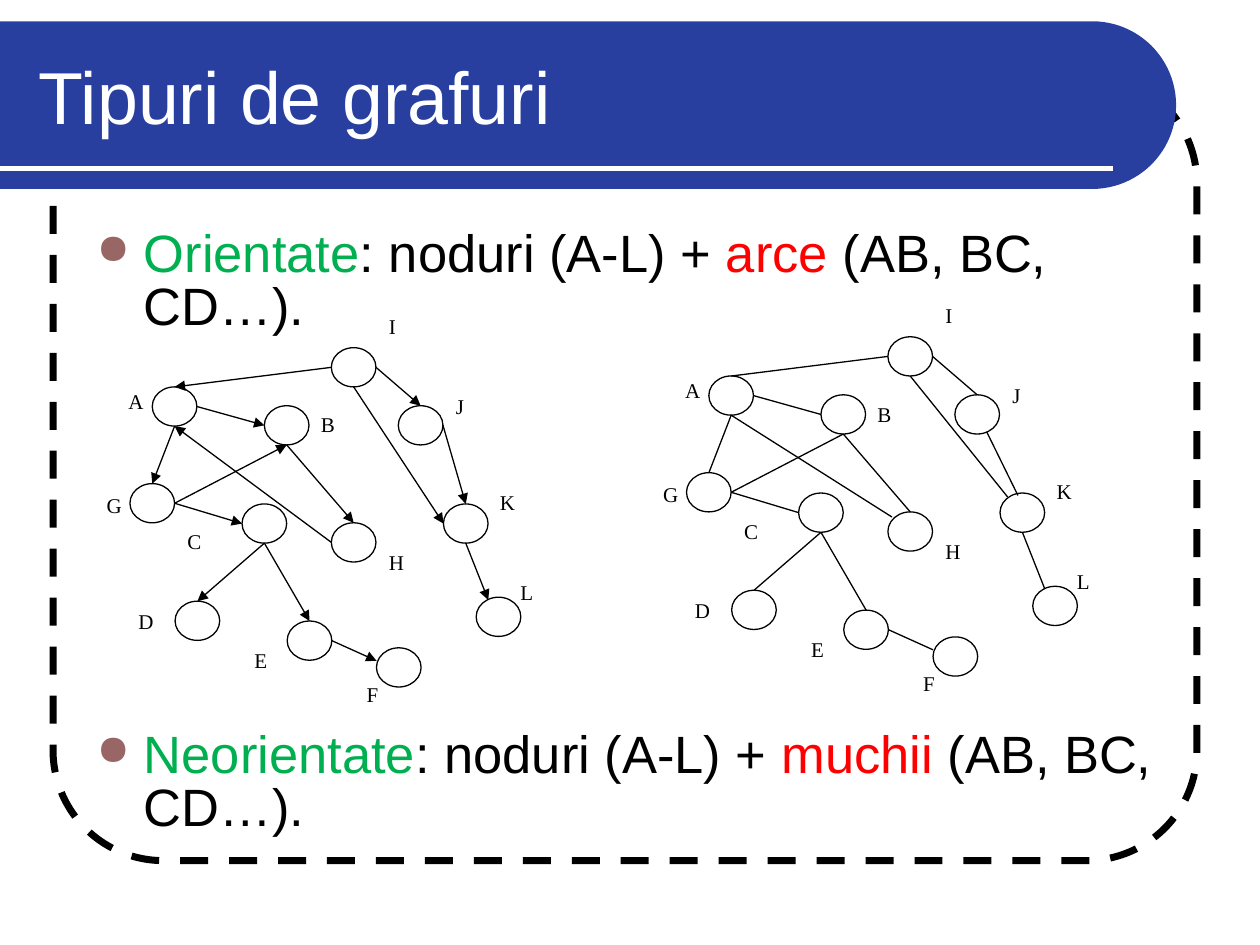
from math import cos, pi, sin
from lxml.etree import SubElement
from pptx import Presentation
from pptx.dml.color import RGBColor
from pptx.enum.dml import MSO_LINE
from pptx.enum.shapes import MSO_CONNECTOR as CONNECTOR, MSO_SHAPE as SHAPE
from pptx.enum.text import MSO_ANCHOR as ANCHOR
from pptx.oxml.ns import qn
from pptx.util import Cm, Pt

color = RGBColor.from_string


def set_values(target, values):
    for name, value in values.items():
        setattr(target, name, value)


def add_text(slide, box, paragraphs, font_values, anchor=ANCHOR.TOP):
    shape = slide.shapes.add_textbox(*map(Cm, box))
    frame = shape.text_frame
    set_values(frame, {"word_wrap": True, "vertical_anchor": anchor})
    for index, runs in enumerate(paragraphs):
        paragraph = frame.add_paragraph() if index else frame.paragraphs[0]
        for text, run_color in runs:
            run = paragraph.add_run()
            run.text = text
            set_values(run.font, font_values)
            run.font.color.rgb = color(run_color)
    return frame


presentation = Presentation()
set_values(presentation, {"slide_width": Cm(25.4), "slide_height": Cm(19.05)})
slide = presentation.slides.add_slide(presentation.slide_layouts[6])

border = slide.shapes.add_shape(
    SHAPE.ROUNDED_RECTANGLE, Cm(1.07), Cm(1.47), Cm(23.06), Cm(15.88))
border.adjustments[0] = 0.14
border.fill.background()
border.line.color.rgb = color("000000")
set_values(border.line, {"width": Pt(4), "dash_style": MSO_LINE.DASH})

center_x, center_y, radius, steps = 22.02, 2.12, 1.69, 48
angles = [pi * step / steps - pi / 2 for step in range(steps + 1)]
arc = [(Cm(center_x + radius * cos(angle)), Cm(center_y + radius * sin(angle)))
       for angle in angles]
builder = slide.shapes.build_freeform(0, Cm(center_y - radius))
builder.add_line_segments(arc + [(0, Cm(center_y + radius))], close=True)
banner = builder.convert_to_shape()
banner.fill.solid()
banner.fill.fore_color.rgb = color("283FA0")
banner.line.fill.background()

rule = slide.shapes.add_connector(
    CONNECTOR.STRAIGHT, 0, Cm(3.39), Cm(22.43), Cm(3.39))
rule.line.color.rgb = color("FFFFFF")
rule.line.width = Pt(3)

add_text(slide, (0.53, 0.64, 22.28, 2.54), [[("Tipuri de grafuri", "FFFFFF")]],
         {"name": "Arial", "size": Pt(42)}, ANCHOR.MIDDLE)

kinds = [("Orientate", "arce"), ("Neorientate", "muchii")]
body = add_text(
    slide, (1.7, 4.52, 22.02, 12.85),
    [[(kind, "00B050"), (": noduri (A-L) + ", "000000"),
      (link, "FF0000"), (" (AB, BC, CD…).", "000000")] for kind, link in kinds],
    {"name": "Arial", "size": Pt(30)})
for paragraph, space in zip(body.paragraphs, (0, 225.5)):
    set_values(paragraph, {"line_spacing": 0.84, "space_before": Pt(space)})
    properties = paragraph._p.get_or_add_pPr()
    set_values_xml = {"marL": Cm(0.95), "indent": Cm(-0.95)}
    for name, value in set_values_xml.items():
        properties.set(name, str(int(value)))
    bullet_color = SubElement(properties, qn("a:buClr"))
    SubElement(bullet_color, qn("a:srgbClr"), val="996666")
    SubElement(properties, qn("a:buSzPct"), val="80000")
    SubElement(properties, qn("a:buChar"), char="●")

node_width, node_height = 0.9, 0.79
nodes = {
    "A": ((3.07, 7.8), (2.34, 7.7, 0.81, 0.94)),
    "G": ((2.62, 9.75), (1.9, 9.8, 0.84, 0.84)),
    "B": ((5.33, 8.18), (6.22, 8.18, 1.35, 0.79)),
    "I": ((6.68, 7.01), (7.59, 6.2, 0.89, 0.79)),
    "C": ((4.88, 10.16), (3.53, 10.54, 1.35, 0.79)),
    "H": ((6.68, 10.54), (7.59, 10.95, 1.35, 0.79)),
    "J": ((8.03, 8.18), (8.94, 7.8, 1.35, 1.19)),
    "E": ((5.79, 12.52), (4.88, 12.93, 1.35, 1.19)),
    "K": ((8.94, 10.16), (9.83, 9.75, 1.35, 0.79)),
    "F": ((7.59, 13.06), (7.14, 13.61, 0.91, 0.79)),
    "L": ((9.6, 12.04), (10.24, 11.56, 1.35, 1.19)),
    "D": ((3.53, 12.12), (2.54, 12.14, 0.99, 0.79)),
}
top, bottom, left, right = (0.5, 0), (0.5, 1), (0, 0.5), (1, 0.5)
edges = {
    "AB": (right, left), "AG": (bottom, top), "IA": (left, top),
    "GC": (right, left), "GB": (right, bottom), "BH": (bottom, top),
    "HA": (left, bottom), "IJ": (right, top), "IK": (bottom, left),
    "JK": (right, top), "CE": (bottom, top), "CD": (bottom, top),
    "EF": (right, (0, 0.33)), "KL": (bottom, (0.27, 0.07)),
}
undirected_edges = edges | {
    "HA": ((0.09, 0.13), bottom), "IK": (bottom, (0.17, 0.1)),
    "JK": ((0.71, 0.94), (0.4, 0.06)),
}
graphs = [(0, 0, edges, True), (11.22, -0.22, undirected_edges, False)]

for shift_x, shift_y, graph_edges, directed in graphs:
    for (x, y), label_box in nodes.values():
        node = slide.shapes.add_shape(
            SHAPE.OVAL, Cm(x + shift_x), Cm(y + shift_y),
            Cm(node_width), Cm(node_height))
        node.fill.solid()
        node.fill.fore_color.rgb = color("FFFFFF")
        node.line.color.rgb = color("000000")
        node.line.width = Pt(0.75)
    for ends, sites in graph_edges.items():
        points = []
        for name, (across, down) in zip(ends, sites):
            x, y = nodes[name][0]
            points += [Cm(x + shift_x + across * node_width),
                       Cm(y + shift_y + down * node_height)]
        edge = slide.shapes.add_connector(CONNECTOR.STRAIGHT, *points)
        edge.line.color.rgb = color("000000")
        edge.line.width = Pt(0.75)
        if directed:
            SubElement(edge.line._get_or_add_ln(), qn("a:tailEnd"), type="triangle")
    for name, (position, (x, y, width, height)) in nodes.items():
        add_text(slide, (x + shift_x, y + shift_y, width, height),
                 [[(name, "000000")]], {"name": "Times New Roman", "size": Pt(12)})

for shape in slide.shapes:
    SubElement(shape._element.spPr, qn("a:effectLst"))

presentation.save("out.pptx")
